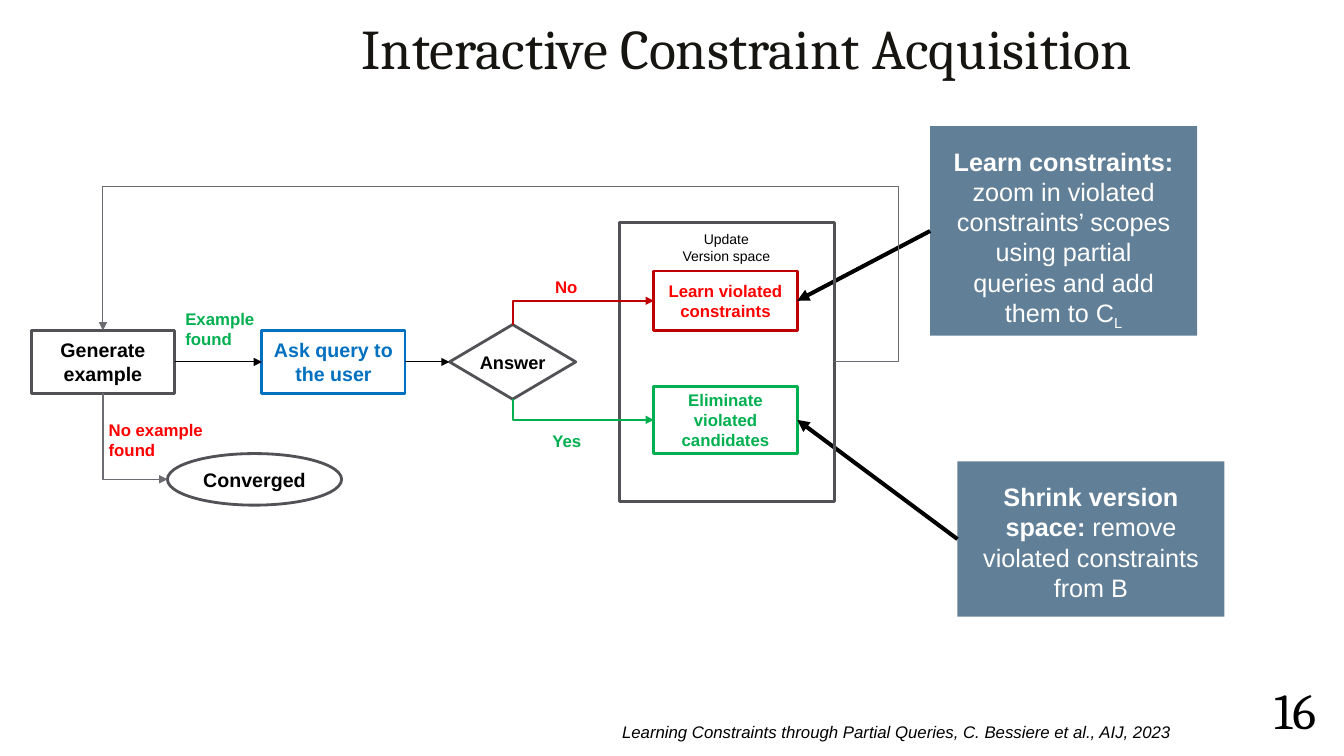
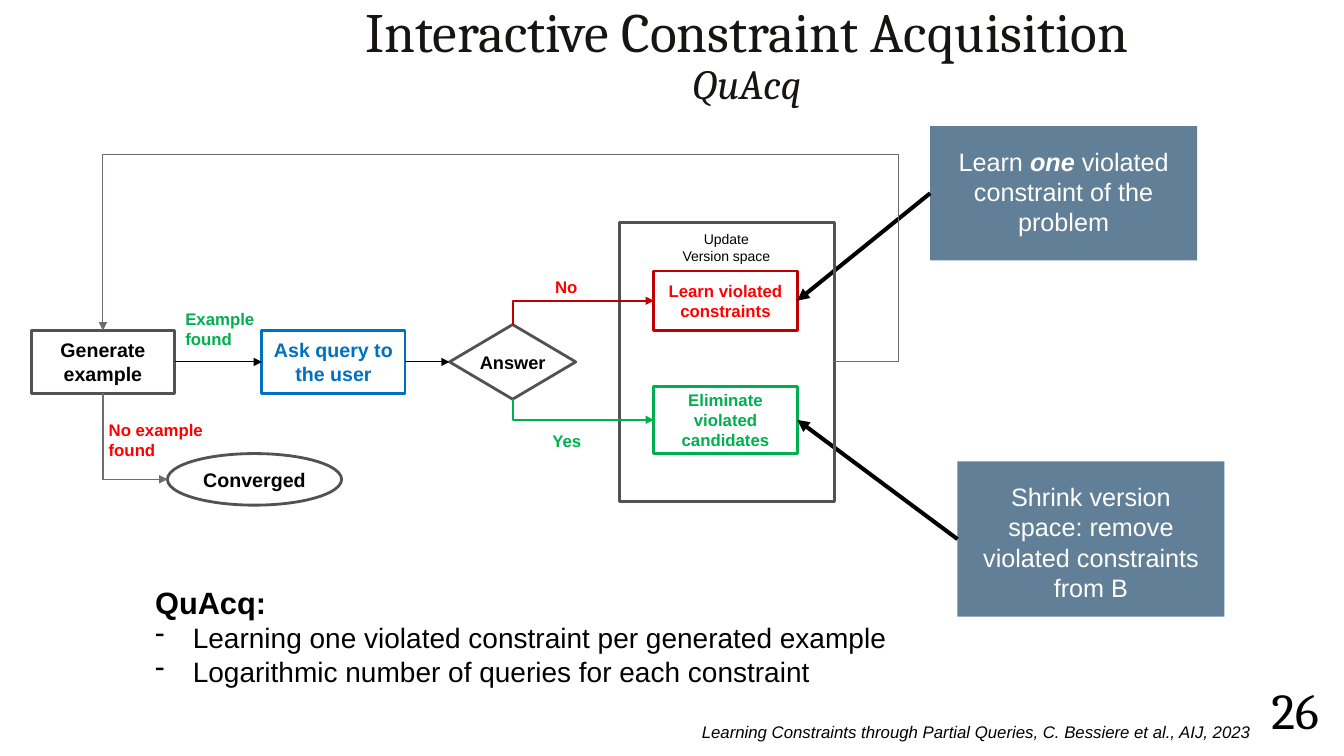
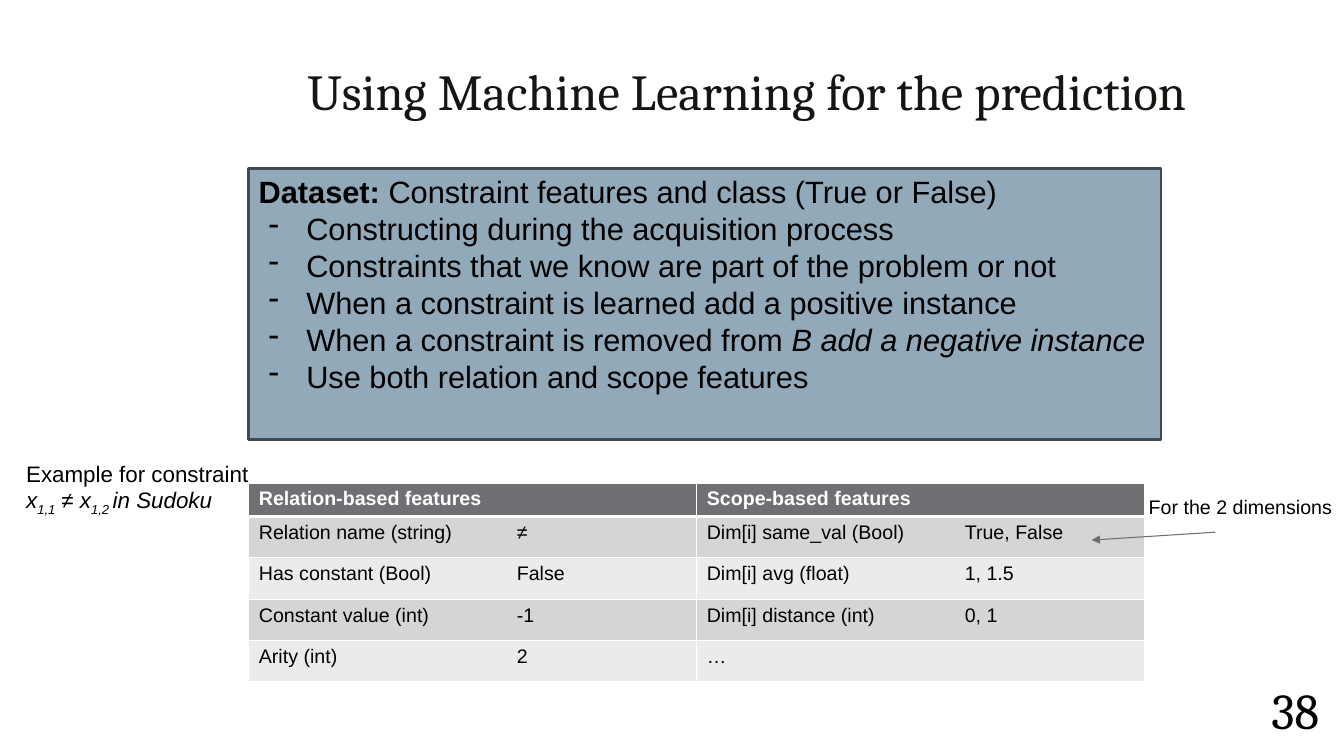
"""Build three slides on interactive constraint acquisition."""
from dataclasses import dataclass, field
from typing import Any, Optional

import lxml.etree
import pptx
import pptx.dml.color
import pptx.enum.shapes
import pptx.enum.text
import pptx.oxml.ns
import pptx.util

Cm = pptx.util.Cm
Pt = pptx.util.Pt
RGBColor = pptx.dml.color.RGBColor
MSO = pptx.enum.shapes.MSO_SHAPE
CONN = pptx.enum.shapes.MSO_CONNECTOR
ALIGN = pptx.enum.text.PP_ALIGN
ANCHOR = pptx.enum.text.MSO_ANCHOR
qn = pptx.oxml.ns.qn

BLACK = RGBColor(0x00, 0x00, 0x00)
WHITE = RGBColor(0xFF, 0xFF, 0xFF)
INK = RGBColor(0x17, 0x15, 0x12)
GREY = RGBColor(0x52, 0x52, 0x56)
WIRE = RGBColor(0x6C, 0x6C, 0x72)
BLUE = RGBColor(0x00, 0x70, 0xC0)
RED = RGBColor(0xFF, 0x00, 0x00)
DARK_RED = RGBColor(0xC0, 0x00, 0x00)
GREEN = RGBColor(0x00, 0xB0, 0x50)
SLATE = RGBColor(0x61, 0x80, 0x97)
PANEL = RGBColor(0x92, 0xA9, 0xB9)
PANEL_EDGE = RGBColor(0x40, 0x4A, 0x51)
HEADER = RGBColor(0x6F, 0x6F, 0x74)
BANDS = (RGBColor(0xD5, 0xD5, 0xD6), RGBColor(0xEB, 0xEB, 0xEB))

BOLD = {"bold": True}
ITALIC = {"italic": True}
CITATION = "Learning Constraints through Partial Queries, C. Bessiere et al., AIJ, 2023"
Box = tuple[float, float, float, float]


@dataclass
class Run:
    """A stretch of text and its format."""
    text: str
    fmt: dict[str, Any] = field(default_factory=dict)
    sub: bool = False


@dataclass
class Para:
    """A paragraph; a bulleted one gives its left margin in centimetres."""
    runs: list[Run]
    bullet: Optional[float] = None


@dataclass
class Node:
    """A box of the flow chart."""
    name: str
    box: Box
    edge: RGBColor
    color: RGBColor = BLACK
    size: float = 14
    kind: Any = MSO.RECTANGLE
    wrap: bool = True


@dataclass
class Label:
    """A caption of the flow chart."""
    lines: list[str]
    box: Box
    color: RGBColor
    size: float = 12
    bold: bool = True
    align: Any = ALIGN.LEFT


@dataclass
class Callout:
    """A filled note that points at a node."""
    target: str
    box: Box
    runs: list[Run]


NODES = [
    Node("Generate example", (0.79, 8.33, 3.61, 1.58), GREY),
    Node("Ask query to the user", (6.6, 8.33, 3.61, 1.58), BLUE, BLUE),
    Node("Answer", (11.33, 8.18, 3.18, 1.88), GREY, size=13, kind=MSO.DIAMOND, wrap=False),
    Node("Learn violated constraints", (16.48, 6.83, 3.61, 1.5), DARK_RED, RED, 12),
    Node("Eliminate violated candidates", (16.48, 9.73, 3.61, 1.7), GREEN, GREEN, 12),
    Node("Converged", (4.22, 11.43, 4.39, 1.3), GREY, kind=MSO.OVAL, wrap=False),
]
LABELS = [
    Label(["Update", "Version space"], (16.92, 5.69, 2.77, 1.12), BLACK, 10, False, ALIGN.CENTER),
    Label(["No"], (13.74, 6.86, 1.09, 0.76), RED),
    Label(["Yes"], (13.67, 10.72, 1.27, 0.76), GREEN),
    Label(["No example", "found"], (2.49, 10.46, 2.92, 1.27), RED),
    Label(["Example", "found"], (4.42, 7.65, 2.26, 1.27), GREEN),
]
FEATURES = [
    (("Relation name (string)", "≠"), ("Dim[i] same_val (Bool)", "True, False")),
    (("Has constant (Bool)", "False"), ("Dim[i] avg (float)", "1, 1.5")),
    (("Constant value (int)", "-1"), ("Dim[i] distance (int)", "0, 1")),
    (("Arity (int)", "2"), ("…",)),
]


def sub(parent: Any, tag: str, **attrs: str) -> Any:
    """Append a child element in the drawing namespace."""
    return lxml.etree.SubElement(parent, qn(f"a:{tag}"), attrs)


def put(p: Any, para: Para, base: dict[str, Any]) -> None:
    """Write the runs of a paragraph over a base format."""
    if para.bullet is not None:
        pPr = p._p.get_or_add_pPr()
        pPr.set("marL", str(Cm(para.bullet)))
        pPr.set("indent", str(-Cm(0.95)))
        sub(sub(pPr, "buClr"), "srgbClr", val=str(BLACK))
        sub(pPr, "buChar", char="-")
    for run in para.runs:
        r = p.add_run()
        r.text = run.text
        fmt = {"name": "Arial", "color": BLACK, **base, **run.fmt}
        r.font.color.rgb = fmt.pop("color")
        for key, value in fmt.items():
            setattr(r.font, key, value)
        if run.sub:
            r._r.get_or_add_rPr().set("baseline", "-25000")


def fill_text(sp: Any, paras: list[Para], base: dict[str, Any], align: Any = ALIGN.LEFT,
              spacing: Optional[float] = None, **frame: Any) -> None:
    """Write paragraphs into the text frame of a shape."""
    tf = sp.text_frame
    for key, value in {"word_wrap": True, "vertical_anchor": ANCHOR.TOP, **frame}.items():
        setattr(tf, key, value)
    for i, para in enumerate(paras):
        p = tf.add_paragraph() if i else tf.paragraphs[0]
        p.alignment = align
        if spacing:
            p.line_spacing = spacing
        put(p, para, base)


def text(s: Any, box: Box, paras: list[Para], base: dict[str, Any], **layout: Any) -> None:
    """Add a text box."""
    fill_text(s.shapes.add_textbox(*map(Cm, box)), paras, base, **layout)


def shape(s: Any, kind: Any, box: Box, fill: Optional[RGBColor] = None,
          edge: Optional[RGBColor] = None) -> Any:
    """Add a preset shape with an optional fill and outline."""
    sp = s.shapes.add_shape(kind, *map(Cm, box))
    sp.shadow.inherit = False
    if fill is None:
        sp.fill.background()
    else:
        sp.fill.solid()
        sp.fill.fore_color.rgb = fill
    if edge is None:
        sp.line.fill.background()
    else:
        sp.line.color.rgb = edge
        sp.line.width = Pt(2)
    return sp


def side(sp: Any, site: int) -> tuple[int, int]:
    """Return the middle of a side: 0 top, 1 left, 2 bottom, 3 right."""
    dx, dy = ((1, 0), (0, 1), (1, 2), (2, 1))[site]
    return sp.left + sp.width * dx // 2, sp.top + sp.height * dy // 2


def arrow(s: Any, start: tuple[int, int], end: tuple[int, int], color: RGBColor,
          width: float = 0.75, kind: Any = CONN.STRAIGHT) -> Any:
    """Add a connector with an arrowhead at its end."""
    c = s.shapes.add_connector(kind, *start, *end)
    c.line.color.rgb = color
    c.line.width = Pt(width)
    spPr = c.element.spPr
    sub(spPr.get_or_add_ln(), "tailEnd", type="triangle")
    sub(spPr, "effectLst")
    return c


def join(s: Any, a: Any, a_site: int, b: Any, b_site: int, color: RGBColor,
         width: float = 0.75, kind: Any = CONN.STRAIGHT) -> Any:
    """Join the sides of two shapes with an arrow."""
    c = arrow(s, side(a, a_site), side(b, b_site), color, width, kind)
    c.begin_connect(a, a_site)
    c.end_connect(b, b_site)
    return c


def set_bend(c: Any, preset: str, *adjust: float) -> None:
    """Choose the elbow preset and its adjustments."""
    geom = c.element.spPr.find(qn("a:prstGeom"))
    geom.set("prst", preset)
    av = geom.find(qn("a:avLst"))
    for i, value in enumerate(adjust, 1):
        sub(av, "gd", name=f"adj{i}", fmla=f"val {round(value * 100000)}")


def corner(s: Any, a: Any, a_site: int, b: Any, color: RGBColor, width: float,
           b_site: int = 1) -> None:
    """Leave a shape vertically and enter the left side of another."""
    c = join(s, a, a_site, b, b_site, color, width, CONN.ELBOW)
    c.end_x, c.end_y = side(b, 1)
    set_bend(c, "bentConnector2")
    w, h = c.width, c.height
    c.left, c.top = c.left + (w - h) // 2, c.top + (h - w) // 2
    c.width, c.height = h, w
    c.rotation = 90 if a_site == 0 else 270
    c.element.spPr.find(qn("a:xfrm")).set("flipH", "1")


def flow_chart(s: Any, callouts: list[Callout], loop_top: float) -> None:
    """Draw the acquisition loop and its callouts."""
    notes = []
    for co in callouts:
        sp = shape(s, MSO.RECTANGLE, co.box, SLATE)
        fill_text(sp, [Para(co.runs)], {"size": Pt(18), "color": WHITE}, ALIGN.CENTER,
                  margin_left=Cm(0.57), margin_right=Cm(0.57), margin_top=Cm(0.5))
        notes.append((sp, co.target))
    nodes = {}
    for n in NODES:
        sp = nodes[n.name] = shape(s, n.kind, n.box, edge=n.edge)
        fill_text(sp, [Para([Run(n.name, BOLD)])], {"size": Pt(n.size), "color": n.color},
                  ALIGN.CENTER, vertical_anchor=ANCHOR.MIDDLE, word_wrap=n.wrap)
    for sp, target in notes:
        join(s, sp, 1, nodes[target], 3, BLACK, 2.89)
    frame = shape(s, MSO.RECTANGLE, (15.62, 5.61, 5.41, 7.02), edge=GREY)
    generate, ask, answer, learn, eliminate, converged = nodes.values()
    join(s, generate, 3, ask, 1, BLACK)
    join(s, ask, 3, answer, 1, BLACK)
    corner(s, answer, 0, learn, DARK_RED, 1.25)
    corner(s, answer, 2, eliminate, GREEN, 1.25)
    corner(s, generate, 2, converged, WIRE, 0.75, b_site=2)
    loop = join(s, frame, 3, generate, 0, WIRE, kind=CONN.ELBOW)
    set_bend(loop, "bentConnector4", -Cm(1.6) / loop.width,
             (loop.begin_y - Cm(loop_top)) / loop.height)
    for lb in LABELS:
        text(s, lb.box, [Para([Run(line)]) for line in lb.lines],
             {"size": Pt(lb.size), "color": lb.color, "bold": lb.bold},
             align=lb.align, word_wrap=False)


def new_slide(prs: Any, number: int, title: list[Run], title_height: float) -> Any:
    """Add a slide with its title and number."""
    s = prs.slides.add_slide(prs.slide_layouts[6])
    text(s, (6.27, 0.03, 25.1, title_height), [Para([r]) for r in title],
         {"name": "Cambria", "color": INK}, align=ALIGN.CENTER, spacing=0.9,
         vertical_anchor=ANCHOR.BOTTOM)
    text(s, (31.37, 17.15, 2.54, 1.65), [Para([Run(str(number))])],
         {"name": "Cambria", "size": Pt(36)}, align=ALIGN.CENTER, spacing=0.9,
         vertical_anchor=ANCHOR.MIDDLE, margin_left=Cm(0.13), margin_right=Cm(0.13))
    return s


def citation(s: Any, left: float) -> None:
    """Add the source line at the foot."""
    text(s, (left, 18.06, 23.98, 0.76), [Para([Run(CITATION, ITALIC)])],
         {"size": Pt(12)}, align=ALIGN.RIGHT)


def cell(c: Any, runs: list[Run], base: dict[str, Any], fill: RGBColor, under: float) -> None:
    """Write a table cell with white borders."""
    p = c.text_frame.paragraphs[0]
    sub(sub(p._p.get_or_add_pPr(), "tabLst"), "tab", pos=str(Cm(6.5)), algn="l")
    put(p, Para(runs), base)
    tcPr = c._tc.get_or_add_tcPr()
    for edge, width in {"L": 1, "R": 1, "T": 1, "B": under}.items():
        ln = sub(tcPr, f"ln{edge}", w=str(Pt(width)))
        sub(sub(ln, "solidFill"), "srgbClr", val=str(WHITE))
    c.fill.solid()
    c.fill.fore_color.rgb = fill


def feature_table(s: Any) -> None:
    """Add the table of constraint features."""
    tb = s.shapes.add_table(len(FEATURES) + 1, 2, *map(Cm, (6.27, 12.17, 22.58, 4.97))).table
    for i, row in enumerate(tb.rows):
        row.height = Cm(1.04 if i else 0.81)
    for j, head in enumerate(("Relation-based features", "Scope-based features")):
        tb.columns[j].width = Cm(11.29)
        cell(tb.cell(0, j), [Run(head, BOLD)], {"size": Pt(14), "color": WHITE}, HEADER, 3)
    for i, row in enumerate(FEATURES):
        for j, parts in enumerate(row):
            runs = [Run(parts[0])]
            for value in parts[1:]:
                runs.append(Run("\t" + value, {"italic": value == "≠"}))
            cell(tb.cell(i + 1, j), runs, {"size": Pt(14), "bold": False}, BANDS[i % 2], 1)


def overview(prs: Any) -> None:
    """Build the general acquisition slide."""
    s = new_slide(prs, 16, [Run("Interactive Constraint Acquisition", {"size": Pt(40)})], 2.16)
    flow_chart(s, [
        Callout("Eliminate violated candidates", (24.13, 11.63, 6.73, 3.91),
                [Run("Shrink version space: ", BOLD),
                 Run("remove violated constraints from B")]),
        Callout("Learn violated constraints", (23.44, 3.18, 6.73, 5.28),
                [Run("Learn constraints:", BOLD),
                 Run(" zoom in violated constraints’ scopes using partial queries "
                     "and add them to C"),
                 Run("L", sub=True)]),
    ], 4.7)
    citation(s, 5.79)


def quacq(prs: Any) -> None:
    """Build the QuAcq slide."""
    s = new_slide(prs, 26, [Run("Interactive Constraint Acquisition", {"size": Pt(39.6)}),
                            Run("QuAcq", {"size": Pt(29.7), **ITALIC})], 2.84)
    flow_chart(s, [
        Callout("Eliminate violated candidates", (24.13, 11.63, 6.73, 3.91),
                [Run("Shrink version space: remove violated constraints from B")]),
        Callout("Learn violated constraints", (23.44, 3.18, 6.73, 3.38),
                [Run("Learn "), Run("one", {**BOLD, **ITALIC}),
                 Run(" violated constraint of the problem")]),
    ], 3.89)
    points = ("Learning one violated constraint per generated example",
              "Logarithmic number of queries for each constraint")
    text(s, (3.66, 14.58, 19.28, 2.9),
         [Para([Run("QuAcq:", {"size": Pt(22), **BOLD})])]
         + [Para([Run(point)], 0.95) for point in points], {"size": Pt(20)})
    citation(s, 7.8)


def prediction(prs: Any) -> None:
    """Build the machine learning slide."""
    s = new_slide(prs, 38, [Run("Using Machine Learning for the prediction",
                                {"size": Pt(36)})], 3.15)
    points = [
        [Run("Constructing during the acquisition process")],
        [Run("Constraints that we know are part of the problem or not")],
        [Run("When a constraint is learned add a positive instance")],
        [Run("When a constraint is removed from "), Run("B add a negative instance", ITALIC)],
        [Run("Use both relation and scope features")],
    ]
    sp = shape(s, MSO.RECTANGLE, (6.27, 4.24, 22.99, 6.83), PANEL, PANEL_EDGE)
    fill_text(sp, [Para([Run("Dataset: ", BOLD),
                         Run("Constraint features and class (True or False)")])]
              + [Para(runs, 1.2) for runs in points], {"size": Pt(22)}, ALIGN.JUSTIFY)
    feature_table(s)
    text(s, (0.41, 11.46, 6.2, 1.63), [
        Para([Run("Example for constraint")]),
        Para([Run("x", ITALIC), Run("1,1", ITALIC, True), Run(" ≠ x", ITALIC),
              Run("1,2 ", ITALIC, True), Run("in Sudoku", ITALIC)]),
    ], {"size": Pt(16)}, word_wrap=False)
    arrow(s, (Cm(30.63), Cm(13.41)), (Cm(27.51), Cm(13.61)), WIRE)
    text(s, (28.7, 12.34, 5.16, 1.45), [Para([Run("For the 2 dimensions")])],
         {"size": Pt(14)}, word_wrap=False)


def main() -> None:
    """Build and save the presentation."""
    prs = pptx.Presentation()
    prs.slide_width, prs.slide_height = Cm(33.87), Cm(19.05)
    for build in (overview, quacq, prediction):
        build(prs)
    prs.save("out.pptx")


if __name__ == "__main__":
    main()
